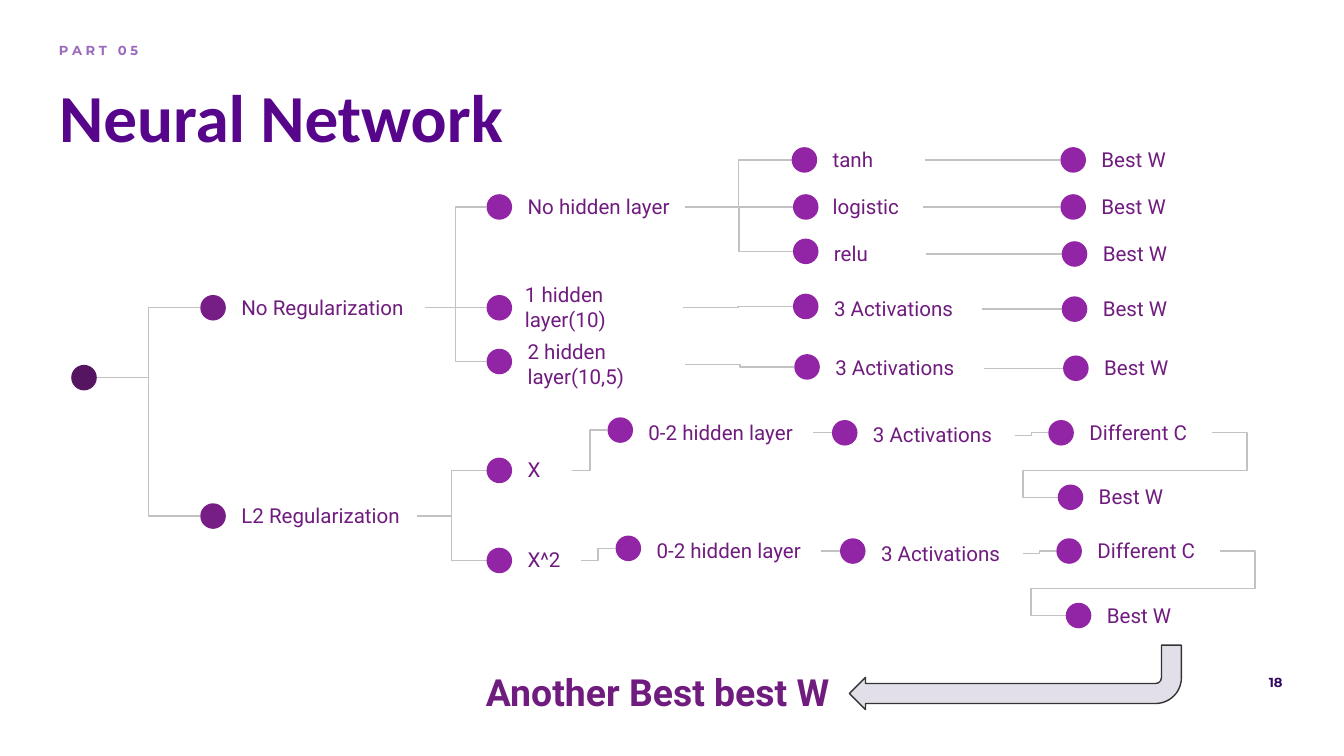
from lxml import etree
from pptx import Presentation
from pptx.dml.color import RGBColor
from pptx.enum.shapes import MSO_CONNECTOR, MSO_SHAPE
from pptx.enum.text import MSO_ANCHOR, PP_ALIGN
from pptx.oxml.ns import qn
from pptx.util import Inches, Pt

ELBOW = MSO_CONNECTOR.ELBOW
ELLIPSE, ROUNDED, BENT_ARROW = MSO_SHAPE.OVAL, MSO_SHAPE.ROUNDED_RECTANGLE, MSO_SHAPE.BENT_ARROW
TOP, MIDDLE = MSO_ANCHOR.TOP, MSO_ANCHOR.MIDDLE
LEFT, RIGHT = PP_ALIGN.LEFT, PP_ALIGN.RIGHT

TITLE = RGBColor(0x57, 0x06, 0x8C)
SECTION = RGBColor(0x9A, 0x6A, 0xBA)
NUMBER = RGBColor(0x33, 0x06, 0x62)
TEXT = RGBColor(0x70, 0x1C, 0x7F)
ROOT = RGBColor(0x55, 0x15, 0x61)
BRANCH = RGBColor(0x76, 0x1E, 0x86)
LEAF = RGBColor(0x92, 0x25, 0xA5)
LINE = RGBColor(0xC2, 0xC2, 0xC2)
ARROW_FILL = RGBColor(0xE3, 0xDF, 0xE9)
ARROW_LINE = RGBColor(0x33, 0x33, 0x33)

DOT = 0.19
LABEL_HEIGHT = 0.35
LABEL_RISE = 0.18  # from a label's connection point up to its top

presentation = Presentation()
presentation.slide_width = Inches(10)
presentation.slide_height = Inches(10 * 9 / 16)
slide = presentation.slides.add_slide(presentation.slide_layouts[5])
shapes = slide.shapes


def write(shape, text, size, font, color, bold=False, anchor=TOP, align=LEFT):
    frame = shape.text_frame
    frame.word_wrap = True
    frame.vertical_anchor = anchor
    frame.margin_left = frame.margin_right = Inches(0.1)
    frame.margin_top = frame.margin_bottom = Inches(0.1)
    frame.text = text
    paragraph = frame.paragraphs[0]
    paragraph.alignment = align
    paragraph.font.size = Pt(size)
    paragraph.font.name = font
    paragraph.font.bold = bold
    paragraph.font.color.rgb = color


def add_plain(kind, left, top, width, height, fill=None):
    shape = shapes.add_shape(kind, Inches(left), Inches(top), Inches(width), Inches(height))
    shape.shadow.inherit = False
    shape.line.fill.background()
    if fill is None:
        shape.fill.background()
    else:
        shape.fill.solid()
        shape.fill.fore_color.rgb = fill
    return shape


# Title
title = shapes.title
title.left, title.top, title.width, title.height = (Inches(v) for v in (0.34, 0.46, 9.21, 0.63))
write(title, "Neural Network", 36, "Calibri", TITLE, bold=True)

# Section name and page number
for left, top, width, text, color, align in [
    (0.34, 0.24, 2.66, "P A R T   0 5", SECTION, LEFT),
    (5.05, 4.94, 4.59, "18", NUMBER, RIGHT),
]:
    box = shapes.add_textbox(Inches(left), Inches(top), Inches(width), Inches(0.34))
    write(box, text, 7, "Montserrat", color, bold=True, align=align)
    box.text_frame.margin_top = Inches(0.14)

# Nodes: name, parent, dot left, dot centre, label centre, label width, text, colour
nodes = [
    ("root", None, 0.53, 2.81, 2.81, 0, "", ROOT),
    ("none", "root", 1.49, 2.29, 2.29, 1.48, "No Regularization", BRANCH),
    ("l2", "root", 1.49, 3.84, 3.84, 1.42, "L2 Regularization", BRANCH),
    ("hidden 0", "none", 3.62, 1.54, 1.54, 1.29, "No hidden layer", LEAF),
    ("hidden 1", "none", 3.62, 2.29, 2.29, 1.29, "1 hidden layer(10)", LEAF),
    ("hidden 2", "none", 3.62, 2.69, 2.71, 1.29, "2 hidden layer(10,5)", LEAF),
    ("tanh", "hidden 0", 5.89, 1.19, 1.19, 0.8, "tanh", LEAF),
    ("logistic", "hidden 0", 5.9, 1.54, 1.54, 0.79, "logistic", LEAF),
    ("relu", "hidden 0", 5.9, 1.87, 1.89, 0.8, "relu", LEAF),
    ("activations 1", "hidden 1", 5.9, 2.28, 2.3, 1.22, "3 Activations", LEAF),
    ("activations 2", "hidden 2", 5.91, 2.73, 2.74, 1.22, "3 Activations", LEAF),
]
for parent, left, y in [("tanh", 7.89, 1.19), ("logistic", 7.89, 1.54), ("relu", 7.9, 1.89),
                        ("activations 1", 7.9, 2.3), ("activations 2", 7.91, 2.74)]:
    nodes.append((parent + " best", parent, left, y, y, 0.8, "Best W", LEAF))

# The two L2 chains share one layout, shifted by a fixed step
for name, y, width, dx, dy in [("X", 3.5, 0.45, 0, 0), ("X^2", 4.17, 0.51, 0.06, 0.88)]:
    nodes.append((name, "l2", 3.62, y, y, width, name, LEAF))
    parent = name
    for left, dot_y, label_y, width, text in [
        (4.52, 3.2, 3.22, 1.34, "0-2 hidden layer"),
        (6.19, 3.22, 3.24, 1.17, "3 Activations"),
        (7.8, 3.22, 3.22, 1.03, "Different C"),
        (7.87, 3.7, 3.7, 1.31, "Best W"),
    ]:
        child = name + " " + text
        nodes.append((child, parent, left + dx, dot_y + dy, label_y + dy, width, text, LEAF))
        parent = child

# Labels that sit slightly closer to their dot
nudges = {"hidden 1": -0.02, "logistic": -0.01}

# Connectors run from the end of the parent's label to the child's dot
exits = {name: (left + DOT + nudges.get(name, 0) + width, label_y)
         for name, _, left, _, label_y, width, _, _ in nodes}
for _, parent, left, dot_y, _, _, _, _ in nodes:
    if parent is None:
        continue
    x, y = exits[parent]
    connector = shapes.add_connector(ELBOW, Inches(x), Inches(y), Inches(left), Inches(dot_y))
    connector.line.color.rgb = LINE
    connector.line.width = Pt(0.75)
    properties = connector._element.spPr
    etree.SubElement(properties, qn("a:effectLst"))
    if x > left:  # loops back to the next row
        geometry = properties.find(qn("a:prstGeom"))
        geometry.set("prst", "bentConnector5")
        guides = geometry.find(qn("a:avLst"))
        for index, value in enumerate((-22500, 58300, 122500), 1):
            etree.SubElement(guides, qn("a:gd"), name=f"adj{index}", fmla=f"val {value}")

# Dots and labels
for name, _, left, dot_y, label_y, width, text, color in nodes:
    add_plain(ELLIPSE, left, dot_y - DOT / 2, DOT, DOT, color)
    if text:
        label_left = left + DOT + nudges.get(name, 0)
        label = add_plain(ROUNDED, label_left, label_y - LABEL_RISE, width, LABEL_HEIGHT)
        write(label, text, 11, "Roboto", TEXT, anchor=MIDDLE)

# Conclusion and arrow
conclusion = add_plain(ROUNDED, 3.5, 4.97, 2.81, LABEL_HEIGHT)
write(conclusion, "Another Best best W", 20, "Roboto", TEXT, bold=True, anchor=MIDDLE)
arrow = add_plain(BENT_ARROW, 6.32, 4.8, 2.47, 0.48, ARROW_FILL)
arrow.rotation = 180
arrow.line.color.rgb = ARROW_LINE
arrow.line.width = Pt(0.75)
for index, value in enumerate((0.31, 0.25, 0.25, 0.4)):
    arrow.adjustments[index] = value

presentation.save("out.pptx")
